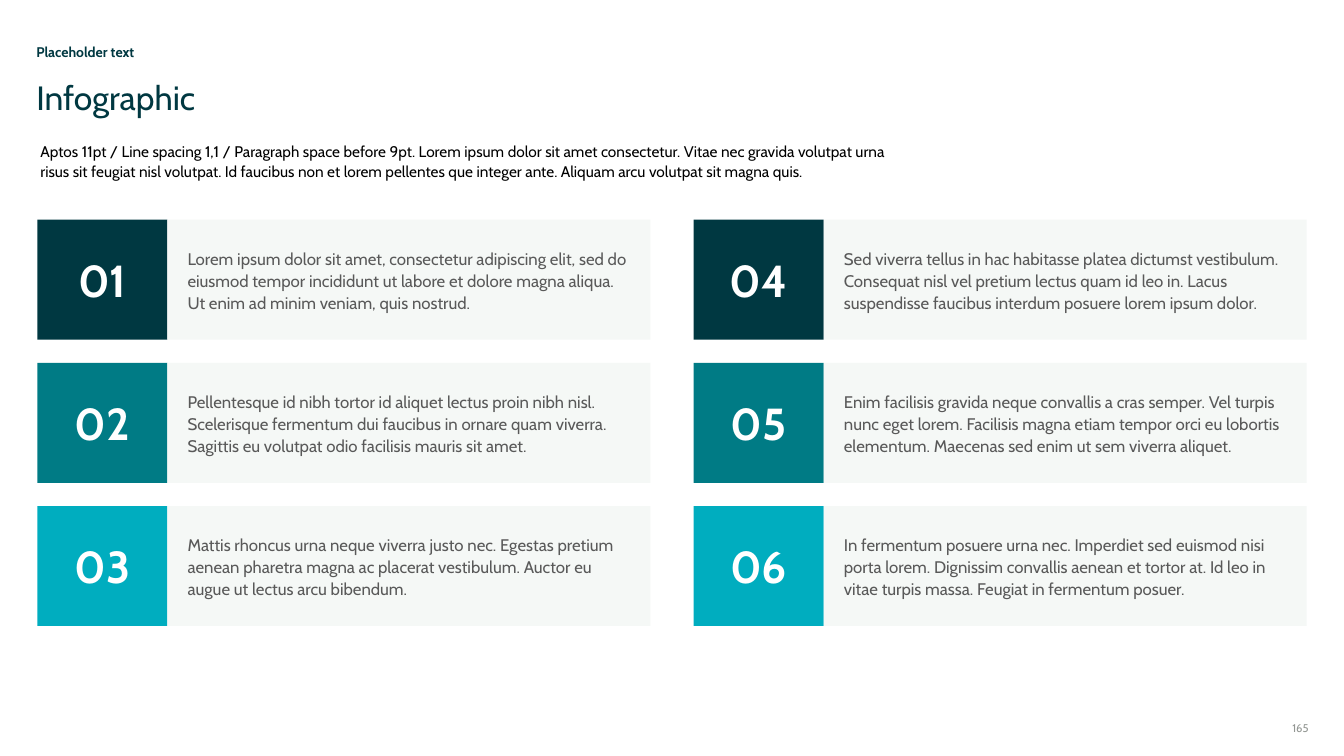
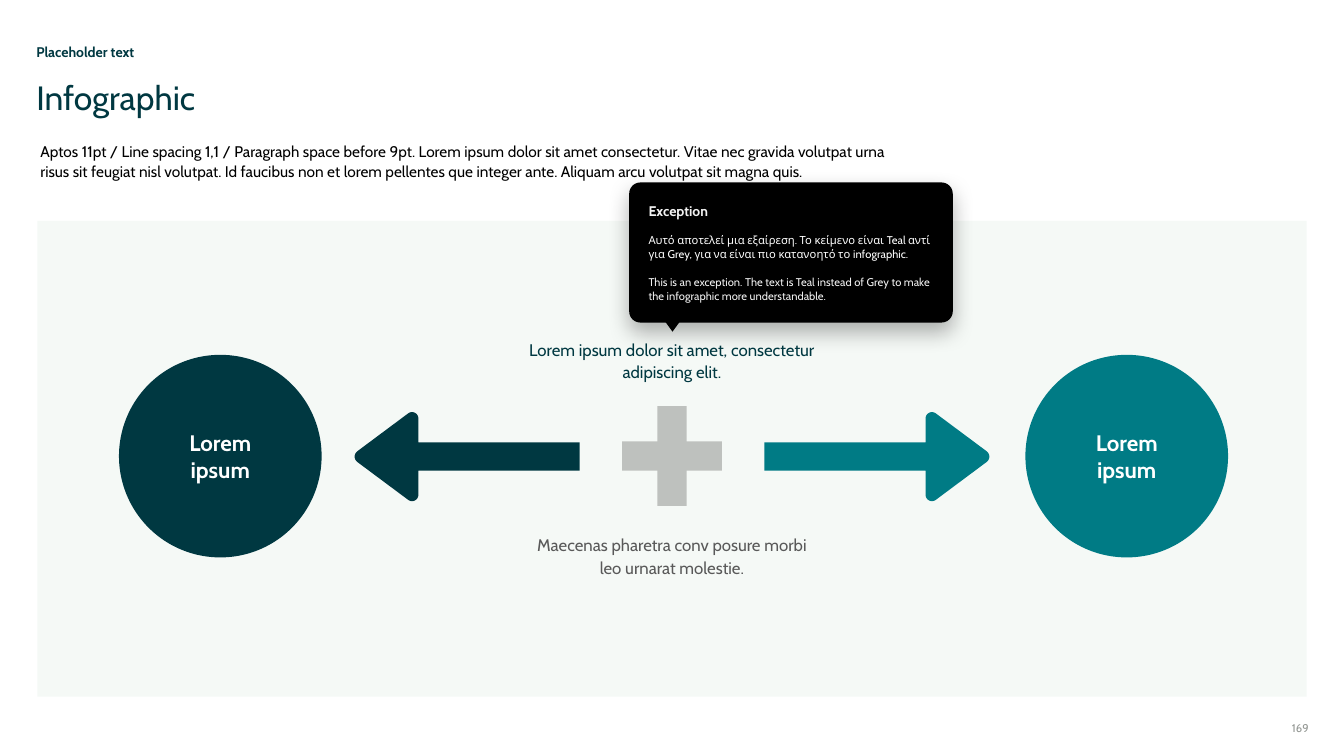
from lxml import etree
from pptx import Presentation
from pptx.dml.color import RGBColor
from pptx.enum.shapes import MSO_SHAPE
from pptx.enum.text import MSO_ANCHOR, PP_ALIGN
from pptx.oxml.ns import qn
from pptx.util import Inches, Pt

RECT, OVAL = MSO_SHAPE.RECTANGLE, MSO_SHAPE.OVAL
ROUNDED, TRIANGLE = MSO_SHAPE.ROUNDED_RECTANGLE, MSO_SHAPE.ISOSCELES_TRIANGLE
TOP, MIDDLE, BOTTOM = MSO_ANCHOR.TOP, MSO_ANCHOR.MIDDLE, MSO_ANCHOR.BOTTOM
LEFT, CENTER, RIGHT = PP_ALIGN.LEFT, PP_ALIGN.CENTER, PP_ALIGN.RIGHT

BLACK = RGBColor(0x00, 0x00, 0x00)
WHITE = RGBColor(0xFF, 0xFF, 0xFF)
OFF_WHITE = RGBColor(0xF2, 0xF2, 0xF2)
DARK_TEAL = RGBColor(0x00, 0x38, 0x41)
TEAL = RGBColor(0x00, 0x7B, 0x85)
CYAN = RGBColor(0x00, 0xAD, 0xBF)
CARD_GREY = RGBColor(0xF5, 0xF8, 0xF6)
PANEL_GREEN = RGBColor(0xF5, 0xF9, 0xF6)
PLUS_GREY = RGBColor(0xBE, 0xC1, 0xBE)
TEXT_GREY = RGBColor(0x59, 0x59, 0x59)
PAGE_GREY = RGBColor(0x93, 0x97, 0x93)

FONT = "Cabin"
NO_INSETS = (0, 0, 0, 0)
DEFAULT_INSETS = (0.1, 0.05, 0.1, 0.05)

INTRO = (
    "Aptos 11pt / Line spacing 1,1 / Paragraph space before 9pt. "
    "Lorem ipsum dolor sit amet consectetur. Vitae nec gravida volutpat urna "
    "risus sit feugiat nisl volutpat. Id faucibus non et lorem pellentes que "
    "integer ante. Aliquam arcu volutpat sit magna quis."
)
CARDS = [
    "Lorem ipsum dolor sit amet, consectetur adipiscing elit, sed do eiusmod tempor "
    "incididunt ut labore et dolore magna aliqua. Ut enim ad minim veniam, quis nostrud.",
    "Pellentesque id nibh tortor id aliquet lectus proin nibh nisl. Scelerisque fermentum "
    "dui faucibus in ornare quam viverra. Sagittis eu volutpat odio facilisis mauris sit amet.",
    "Mattis rhoncus urna neque viverra justo nec. Egestas pretium aenean pharetra magna ac "
    "placerat vestibulum. Auctor eu augue ut lectus arcu bibendum.",
    "Sed viverra tellus in hac habitasse platea dictumst vestibulum. Consequat nisl vel "
    "pretium lectus quam id leo in. Lacus suspendisse faucibus interdum posuere lorem ipsum dolor.",
    "Enim facilisis gravida neque convallis a cras semper. Vel turpis nunc eget lorem. "
    "Facilisis magna etiam tempor orci eu lobortis elementum. Maecenas sed enim ut sem viverra aliquet.",
    "In fermentum posuere urna nec. Imperdiet sed euismod nisi porta lorem. Dignissim "
    "convallis aenean et tortor at. Id leo in vitae turpis massa. Feugiat in fermentum posuer.",
]
ROW_COLORS = [DARK_TEAL, TEAL, CYAN]
EXCEPTION = [
    ("Exception", 10, OFF_WHITE, True),
    ("Αυτό αποτελεί μια εξαίρεση. Το κείμενο είναι Teal αντί για Grey, "
     "για να είναι πιο κατανοητό το infographic.", 8, WHITE, False),
    ("This is an exception. The text is Teal instead of Grey to make "
     "the infographic more understandable.", 8, OFF_WHITE, False),
]


def curve(start, pull_out, pull_in, end, steps=8):
    points = []
    for step in range(steps + 1):
        t = step / steps
        weights = ((1 - t) ** 3, 3 * t * (1 - t) ** 2, 3 * t * t * (1 - t), t ** 3)
        corners = (start, pull_out, pull_in, end)
        points.append(tuple(sum(w * c[axis] for w, c in zip(weights, corners)) for axis in (0, 1)))
    return points


class Deck:
    def __init__(self):
        self.presentation = Presentation()
        self.presentation.slide_width = Inches(13.33)
        self.presentation.slide_height = Inches(7.5)
        self.slide = None

    def add_slide(self, page):
        self.slide = self.presentation.slides.add_slide(self.presentation.slide_layouts[6])
        self.text((0.36, 0.45, 12.61, 0.15), [("Placeholder text", 10, DARK_TEAL, True)],
                  spacing=0.9, insets=NO_INSETS)
        self.text((0.36, 0.81, 12.61, 0.37), [("Infographic", 24, DARK_TEAL, False)],
                  spacing=0.9, insets=NO_INSETS)
        self.text((0.36, 1.39, 8.68, 0.4), [(INTRO, 11, BLACK, False)],
                  spacing=1.1, insets=(0.04, 0, 0, 0))
        self.text((12.23, 7.16, 0.75, 0.15), [(page, 8, PAGE_GREY, False)],
                  align=RIGHT, insets=NO_INSETS)

    def fill_text(self, holder, paragraphs, align=LEFT, anchor=TOP, spacing=1.0,
                  insets=DEFAULT_INSETS):
        frame = holder.text_frame
        frame.word_wrap = True
        frame.vertical_anchor = anchor
        (frame.margin_left, frame.margin_top,
         frame.margin_right, frame.margin_bottom) = map(Inches, insets)
        for index, (content, size, color, bold) in enumerate(paragraphs):
            paragraph = frame.add_paragraph() if index else frame.paragraphs[0]
            paragraph.alignment = align
            paragraph.line_spacing = spacing
            paragraph.space_before = Pt(9 if index else 0)
            run = paragraph.add_run()
            run.text = content
            run.font.name = FONT
            run.font.size = Pt(size)
            run.font.bold = bold
            run.font.color.rgb = color

    def text(self, box, paragraphs, **style):
        self.fill_text(self.slide.shapes.add_textbox(*map(Inches, box)), paragraphs, **style)

    def paint(self, shape, color):
        shape.fill.solid()
        shape.fill.fore_color.rgb = color
        shape.line.fill.background()
        shape.shadow.inherit = False

    def shape(self, kind, box, color, paragraphs=(), rotation=0, **style):
        shape = self.slide.shapes.add_shape(kind, *map(Inches, box))
        self.paint(shape, color)
        shape.rotation = rotation
        if paragraphs:
            self.fill_text(shape, paragraphs, **style)
        return shape

    def card(self, left, top, number, content, color):
        self.shape(RECT, (left, top, 1.29, 1.19), color, [(number, 32, WHITE, True)],
                   align=CENTER, anchor=MIDDLE)
        self.shape(RECT, (left + 1.29, top, 4.79, 1.19), CARD_GREY,
                   [(content, 12, TEXT_GREY, False)], anchor=MIDDLE, spacing=1.1,
                   insets=(0.2, 0.12, 0.2, 0.12))

    def circle(self, left, color):
        self.shape(OVAL, (left, 3.52, 2.01, 2.01), color, [("Lorem ipsum", 16, WHITE, True)],
                   align=CENTER, anchor=MIDDLE, insets=(0.2, 0.05, 0.2, 0.05))

    def arrow(self, tail, middle, direction, color):
        lower = [(0, 0.14), (1.6, 0.14)]
        lower += curve((1.6, 0.38), (1.6, 0.43), (1.66, 0.46), (1.7, 0.43))
        tip = curve((2.21, 0.05), (2.24, 0.02), (2.24, -0.02), (2.21, -0.05))
        outline = lower + tip + [(x, -y) for x, y in reversed(lower)]
        points = [(Inches(tail + direction * x), Inches(middle + y)) for x, y in outline]
        builder = self.slide.shapes.build_freeform(*points[0])
        builder.add_line_segments(points[1:], close=True)
        self.paint(builder.convert_to_shape(), color)

    def callout(self, box, paragraphs):
        bubble = self.shape(ROUNDED, box, BLACK, paragraphs, anchor=BOTTOM, spacing=1.1,
                            insets=(0.16, 0.16, 0.16, 0.16))
        bubble.adjustments[0] = 0.08
        effects = bubble._element.spPr.find(qn("a:effectLst"))
        shadow = etree.SubElement(effects, qn("a:outerShdw"), blurRad=str(Pt(16)),
                                  dist=str(Pt(7)), dir="5400000", algn="t", rotWithShape="0")
        tint = etree.SubElement(shadow, qn("a:srgbClr"), val=str(BLACK))
        etree.SubElement(tint, qn("a:alpha"), val="30000")
        left, top, _, height = box
        self.shape(TRIANGLE, (left + 0.35, top + height - 0.02, 0.16, 0.11), BLACK, rotation=180)


def build_cards(deck):
    deck.add_slide("165")
    for index, content in enumerate(CARDS):
        column, row = divmod(index, len(ROW_COLORS))
        deck.card(0.37 + 6.51 * column, 2.18 + 1.42 * row, f"{index + 1:02}",
                  content, ROW_COLORS[row])


def build_arrows(deck):
    deck.add_slide("169")
    deck.shape(RECT, (0.37, 2.19, 12.59, 4.72), PANEL_GREEN)
    deck.circle(1.18, DARK_TEAL)
    deck.circle(10.17, TEAL)
    deck.arrow(5.75, 4.53, -1, DARK_TEAL)
    deck.arrow(7.58, 4.53, 1, TEAL)
    for top, content, color in (
        (3.3, "Lorem ipsum dolor sit amet, consectetur adipiscing elit.", DARK_TEAL),
        (5.24, "Maecenas pharetra conv posure morbi leo urnarat molestie.", TEXT_GREY),
    ):
        deck.text((5.14, top, 3.05, 0.54), [(content, 12, color, False)],
                  align=CENTER, spacing=1.1)
    for rotation in (0, 90):
        deck.shape(RECT, (6.52, 4.03, 0.29, 0.99), PLUS_GREY, rotation=rotation)
    deck.callout((6.24, 1.81, 3.21, 1.39), EXCEPTION)


def main():
    deck = Deck()
    build_cards(deck)
    build_arrows(deck)
    deck.presentation.save("out.pptx")


if __name__ == "__main__":
    main()
